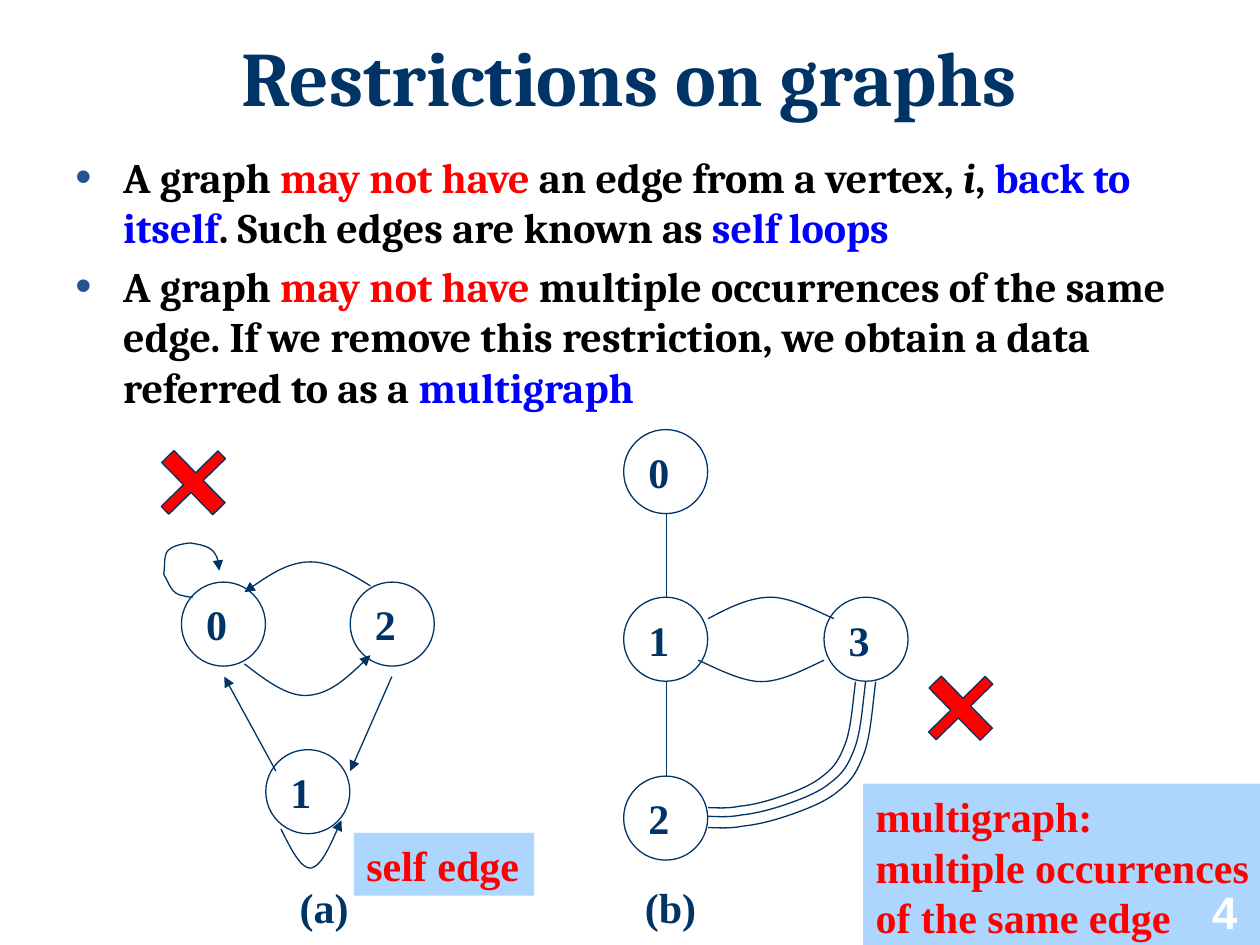
from pptx import Presentation
from pptx.util import Inches, Pt
from pptx.dml.color import RGBColor
from pptx.enum.shapes import MSO_SHAPE, MSO_CONNECTOR
from pptx.enum.text import PP_ALIGN, MSO_ANCHOR
from pptx.oxml.ns import qn
from lxml.etree import SubElement

THEME = {
    "navy": RGBColor.from_string("003366"),
    "black": RGBColor.from_string("000000"),
    "red": RGBColor.from_string("FF0000"),
    "blue": RGBColor.from_string("0000FF"),
    "white": RGBColor.from_string("FFFFFF"),
    "note": RGBColor.from_string("ADD6FF"),
    "bullet": "275393",
    "title_size": Pt(44), "text_size": Pt(24), "number_size": Pt(26),
    "head": "Cambria", "label": "Times New Roman", "number": "Arial",
    "line": Pt(0.75),
}

prs = Presentation()
prs.slide_width, prs.slide_height = Inches(10), Inches(7.5)
s = prs.slides.add_slide(prs.slide_layouts[6])
shapes = s.shapes
CELL = prs.slide_width // 100  # grid of 100 columns by 75 rows


def write(sp, lines, color="navy", font="label", size="text_size",
          align=PP_ALIGN.LEFT, anchor=MSO_ANCHOR.MIDDLE, wrap=False):
    """Fill a shape with bold lines; a line is a list of (text, color)."""
    tf = sp.text_frame
    tf.word_wrap, tf.vertical_anchor = wrap, anchor
    for i, line in enumerate(lines):
        p = tf.add_paragraph() if i else tf.paragraphs[0]
        p.alignment = align
        for text, run_color in [(line, color)] if isinstance(line, str) else line:
            r = p.add_run()
            r.text = text
            r.font.name, r.font.size, r.font.bold = THEME[font], THEME[size], True
            r.font.color.rgb = THEME[run_color]
    return tf


def edge(points, arrow=False):
    """Straight connector for two points, otherwise a chain of Bezier curves."""
    pts = [(round(x * CELL), round(y * CELL)) for x, y in points]
    if len(pts) == 2:
        sp = shapes.add_connector(MSO_CONNECTOR.STRAIGHT, *pts[0], *pts[1])
        SubElement(sp.element.spPr, qn("a:effectLst"))
    else:
        builder = shapes.build_freeform(*pts[0])
        builder.add_line_segments(pts[1:], close=False)
        sp = builder.convert_to_shape()
        sp.shadow.inherit = False
        sp.fill.background()
        path = sp.element.find(".//" + qn("a:path"))
        segments = path.findall(qn("a:lnTo"))
        for i in range(0, len(segments), 3):
            curve = SubElement(path, qn("a:cubicBezTo"))
            for segment in segments[i:i + 3]:
                curve.append(segment[0])
                path.remove(segment)
    sp.line.color.rgb, sp.line.width = THEME["navy"], THEME["line"]
    if arrow:
        ln = sp.element.spPr.find(qn("a:ln"))
        SubElement(ln, qn("a:tailEnd"), type="triangle")


# Title
sp = shapes.add_textbox(5 * CELL, round(2.1 * CELL), 90 * CELL, round(8.7 * CELL))
tf = write(sp, ["Restrictions on graphs"], font="head", size="title_size",
           align=PP_ALIGN.CENTER, wrap=True)
tf.paragraphs[0].line_spacing = 0.9

# Bulleted text
sp = shapes.add_textbox(5 * CELL, round(11.5 * CELL), 90 * CELL, round(27.9 * CELL))
tf = write(sp, [
    [("A graph ", "black"), ("may not have ", "red"),
     ("an edge from a vertex, ", "black"), ("i", "black"), (", ", "black"),
     ("back to itself", "blue"), (". Such edges are known as ", "black"),
     ("self loops", "blue")],
    [("A graph ", "black"), ("may not have ", "red"),
     ("multiple occurrences of the same edge. If we remove this restriction, "
      "we obtain a data referred to as a ", "black"), ("multigraph", "blue")],
], font="head", anchor=MSO_ANCHOR.TOP, wrap=True)
tf.paragraphs[0].runs[3].font.italic = True
for p in tf.paragraphs:
    p.space_before = Pt(4.8)
    pPr = p._p.get_or_add_pPr()
    pPr.set("marL", str(Inches(0.38)))
    pPr.set("indent", str(Inches(-0.38)))
    SubElement(SubElement(pPr, qn("a:buClr")), qn("a:srgbClr"), val=THEME["bullet"])
    SubElement(pPr, qn("a:buSzPct"), val="110000")
    SubElement(pPr, qn("a:buFont"), typeface="Arial")
    SubElement(pPr, qn("a:buChar"), char="•")

# Vertices of graph (a), then graph (b)
NODE = 6.67
for label, x, y in [("0", 14.4, 46.2), ("2", 27.8, 46.2), ("1", 21.1, 59.5),
                    ("2", 49.5, 61.6), ("1", 49.5, 47.4), ("0", 49.5, 34.1),
                    ("3", 65.4, 47.4)]:
    sp = shapes.add_shape(MSO_SHAPE.OVAL, *(round(v * CELL) for v in (x, y, NODE, NODE)))
    sp.shadow.inherit = False
    sp.fill.background()
    sp.line.color.rgb, sp.line.width = THEME["navy"], THEME["line"]
    write(sp, [label])

# Directed edges of graph (a), with the self edges on 0 and 1
for points in [
    [(21.9, 61.2), (17.8, 53.7)],
    [(31.1, 53.7), (27.8, 61.2)],
    [(29.4, 46.5), (27.8, 45.5), (26.1, 44.5), (24.4, 44.6),
     (22.8, 44.7), (21.1, 45.8), (19.4, 47)],
    [(19.4, 52.7), (21.1, 54), (22.8, 55.3), (24.4, 55.2),
     (26.1, 55.1), (27.8, 53.6), (29.4, 52)],
    [(15.3, 47.4), (14.9, 47.4), (14.6, 47.3), (14.2, 47.2),
     (13.5, 46.9), (13.4, 46.2), (13, 45.6),
     (13.1, 45), (13, 44.4), (13.2, 43.9),
     (13.5, 43.2), (15.1, 43.1), (15.1, 43.1),
     (16.5, 43.3), (17.4, 43.7), (17.4, 45.3)],
    [(22.3, 65.8), (23.1, 67.4), (23.9, 69), (24.7, 68.9),
     (25.5, 68.7), (26.3, 66.9), (27.1, 65.1)],
]:
    edge(points, arrow=True)

# Undirected edges of graph (b)
for points in [
    [(52.9, 40.7), (52.9, 47.4)],
    [(52.9, 54.1), (52.9, 61.6)],
    [(56.2, 49.1), (57.9, 48.2), (59.5, 47.4), (61.2, 47.4),
     (62.9, 47.4), (65.4, 48.8), (66.2, 49.1)],
    [(65.4, 52.4), (63.7, 53.2), (62, 54.1), (60.4, 54.1),
     (58.7, 54.1), (56.2, 52.7), (55.4, 52.4)],
]:
    edge(points)

# Triple edge 3-2: one bend, as shares of its width and height, at three sizes
BEND = [(1, 0), (0.98, 0.18), (0.97, 0.37), (0.93, 0.49),
        (0.89, 0.61), (0.86, 0.67), (0.78, 0.74),
        (0.71, 0.81), (0.6, 0.86), (0.5, 0.9),
        (0.4, 0.94), (0.3, 0.97), (0.21, 0.98),
        (0.13, 1), (0.04, 0.99), (0, 0.99)]
for width, height in [(11.7, 10.1), (12.5, 10.8), (13.3, 11.7)]:
    edge([(56.2 + u * width, 54.1 + v * height) for u, v in BEND])

# Graph captions
for caption, x, width in [("(a)", 22.8, 5.9), ("(b)", 50.2, 6.2)]:
    sp = shapes.add_textbox(*(round(v * CELL) for v in (x, 69.5, width, 5)))
    write(sp, [caption], anchor=MSO_ANCHOR.TOP)

# Highlighted notes
for lines, box in [
    (["self edge"], (28.1, 66.1, 14.3, 5)),
    (["multigraph:", "multiple occurrences", "of the same edge"],
     (68.5, 62.2, 31.9, 13.1)),
]:
    sp = shapes.add_shape(MSO_SHAPE.RECTANGLE, *(round(v * CELL) for v in box))
    sp.shadow.inherit = False
    sp.fill.solid()
    sp.fill.fore_color.rgb = THEME["note"]
    sp.line.fill.background()
    write(sp, lines, color="red")

# Red crosses
for x, y in [(12.2, 35.4), (73.1, 53.3)]:
    sp = shapes.add_shape(MSO_SHAPE.CROSS, *(round(v * CELL) for v in (x, y, 6.3, 5.8)))
    sp.adjustments[0] = 0.426
    sp.rotation = 315.6
    sp.shadow.inherit = False
    sp.fill.solid()
    sp.fill.fore_color.rgb = THEME["red"]
    sp.line.color.rgb, sp.line.width = THEME["navy"], THEME["line"]

# Slide number
sp = shapes.add_textbox(*(round(v * CELL) for v in (94, 69.7, 6.4, 5.3)))
write(sp, ["4"], color="white", font="number", size="number_size",
      align=PP_ALIGN.CENTER, anchor=MSO_ANCHOR.BOTTOM, wrap=True)

prs.save("out.pptx")
